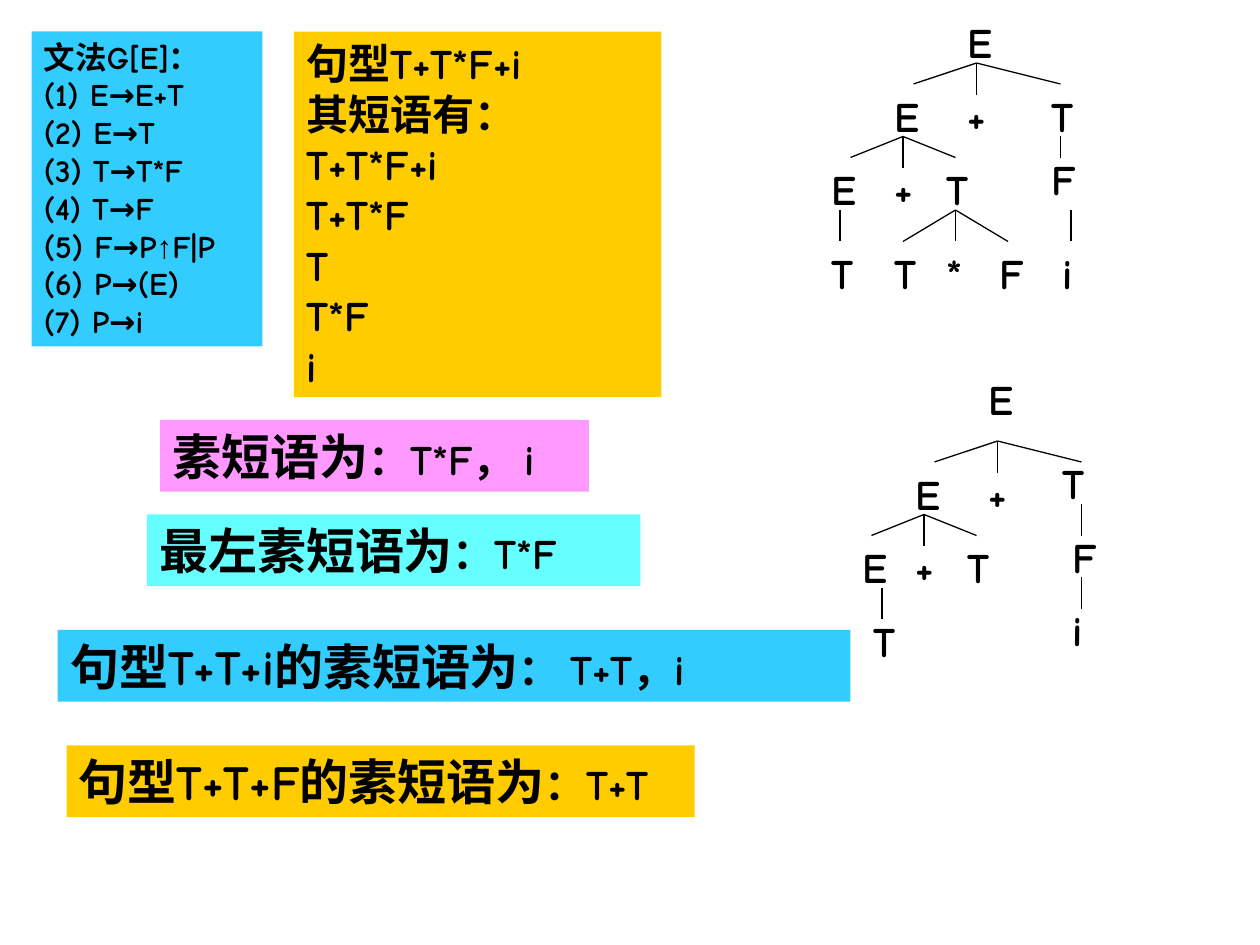
"""Build a slide on prime phrases of a grammar, with two syntax trees."""
from lxml import etree
from pptx import Presentation
from pptx import util as u
from pptx.dml.color import RGBColor
from pptx.enum import shapes, text
from pptx.oxml.ns import qn

Pt = u.Pt
BLACK = RGBColor(0x00, 0x00, 0x00)
BLUE = RGBColor(0x33, 0xCC, 0xFF)
GOLD = RGBColor(0xFF, 0xCC, 0x00)
AQUA = RGBColor(0x66, 0xFF, 0xFF)
PINK = RGBColor(0xFF, 0x99, 0xFF)
FONT = "Comic Neue"
FRAME = {
    "margin_left": Pt(7.2), "margin_right": Pt(7.2),
    "margin_top": Pt(3.6), "margin_bottom": Pt(3.6),
    "vertical_anchor": text.MSO_ANCHOR.TOP,
    "auto_size": text.MSO_AUTO_SIZE.SHAPE_TO_FIT_TEXT,
}


def write(sp, runs, wrap=True):
    tf = sp.text_frame
    for name, value in {**FRAME, "word_wrap": wrap}.items():
        setattr(tf, name, value)
    p = tf.paragraphs[0]
    p.alignment = text.PP_ALIGN.LEFT
    for content, size, font in runs:
        for i, line in enumerate(content.split("\n")):
            if i:
                p.add_line_break()
            r = p.add_run()
            r.text = line
            for name, value in {"size": Pt(size), "name": font, "bold": True}.items():
                setattr(r.font, name, value)
            r.font.color.rgb = BLACK


prs = Presentation()
prs.slide_width, prs.slide_height = Pt(720), Pt(540)
s = prs.slides.add_slide(prs.slide_layouts[6])

grammar = [
    ("文法G[E]：\n(1) E→E+T\n(2) E→T\n(3) T→T*F\n(4) T→F\n(5) F→P", 18, FONT),
    ("↑", 18, "Arial"),
    ("F|P\n(6) P→(E)\n(7) P→i", 18, FONT),
]
phrases = [("句型T+T*F+i\n其短语有：\nT+T*F+i\nT+T*F\nT\nT*F\ni", 24, FONT)]
panels = [
    ((18, 18, 132, 180), BLUE, True, grammar),
    ((168, 18, 210, 209), GOLD, True, phrases),
]
answers = [
    ((91.5, 240, 245), PINK, False, "素短语为", "：T*F， i"),
    ((84, 294, 282), AQUA, True, "最左素短语为", "：T*F"),
    ((33, 360, 453), BLUE, True, "句型T+T+i的素短语为", "： T+T，i"),
    ((38, 426, 359), GOLD, False, "句型T+T+F的素短语为", "：T+T"),
]
for place, color, wrap, title, answer in answers:
    panels.append(((*place, 41), color, wrap, [(title, 28, FONT), (answer, 24, FONT)]))

for box, color, wrap, runs in panels:
    sp = s.shapes.add_shape(shapes.MSO_SHAPE.RECTANGLE, *map(Pt, box))
    sp.shadow.inherit = False
    sp.fill.solid()
    sp.fill.fore_color.rgb = color
    sp.line.fill.background()
    write(sp, runs, wrap)

nodes = [
    ("E", 546, 6), ("E", 504, 48), ("+", 546, 48), ("T", 594, 48),
    ("E", 468, 90), ("+", 504, 90), ("T", 534, 90), ("F", 594, 84),
    ("T", 468, 138), ("T", 504, 138), ("*", 534, 138), ("F", 564, 138), ("i", 600, 138),
    ("E", 558, 210), ("E", 516, 264), ("+", 558, 264), ("T", 600, 258),
    ("E", 486, 306), ("+", 516, 306), ("T", 546, 306), ("F", 606, 300),
    ("T", 492, 348), ("i", 606, 342),
]
for symbol, x, y in nodes:
    sp = s.shapes.add_textbox(Pt(x), Pt(y), Pt(30), Pt(36))
    write(sp, [(symbol, 24, FONT)])

branches = [
    ((558, 36), [(522, 48), (558, 54), (606, 48)]),
    ((516, 78), [(486, 90), (516, 96), (546, 90)]),
    ((606, 78), [(606, 90)]),
    ((480, 120), [(480, 138)]),
    ((546, 120), [(516, 138), (546, 138), (576, 138)]),
    ((612, 120), [(612, 138)]),
    ((570, 252), [(534, 264), (570, 270), (618, 264)]),
    ((528, 294), [(498, 306), (528, 312), (558, 306)]),
    ((618, 288), [(618, 306)]),
    ((504, 336), [(504, 354)]),
    ((618, 330), [(618, 348)]),
]
for parent, children in branches:
    for child in children:
        line = s.shapes.add_connector(shapes.MSO_CONNECTOR.STRAIGHT, *map(Pt, parent + child))
        line.line.color.rgb = BLACK
        line.line.width = Pt(0.75)
        etree.SubElement(line._element.spPr, qn("a:effectLst"))

prs.save("out.pptx")
